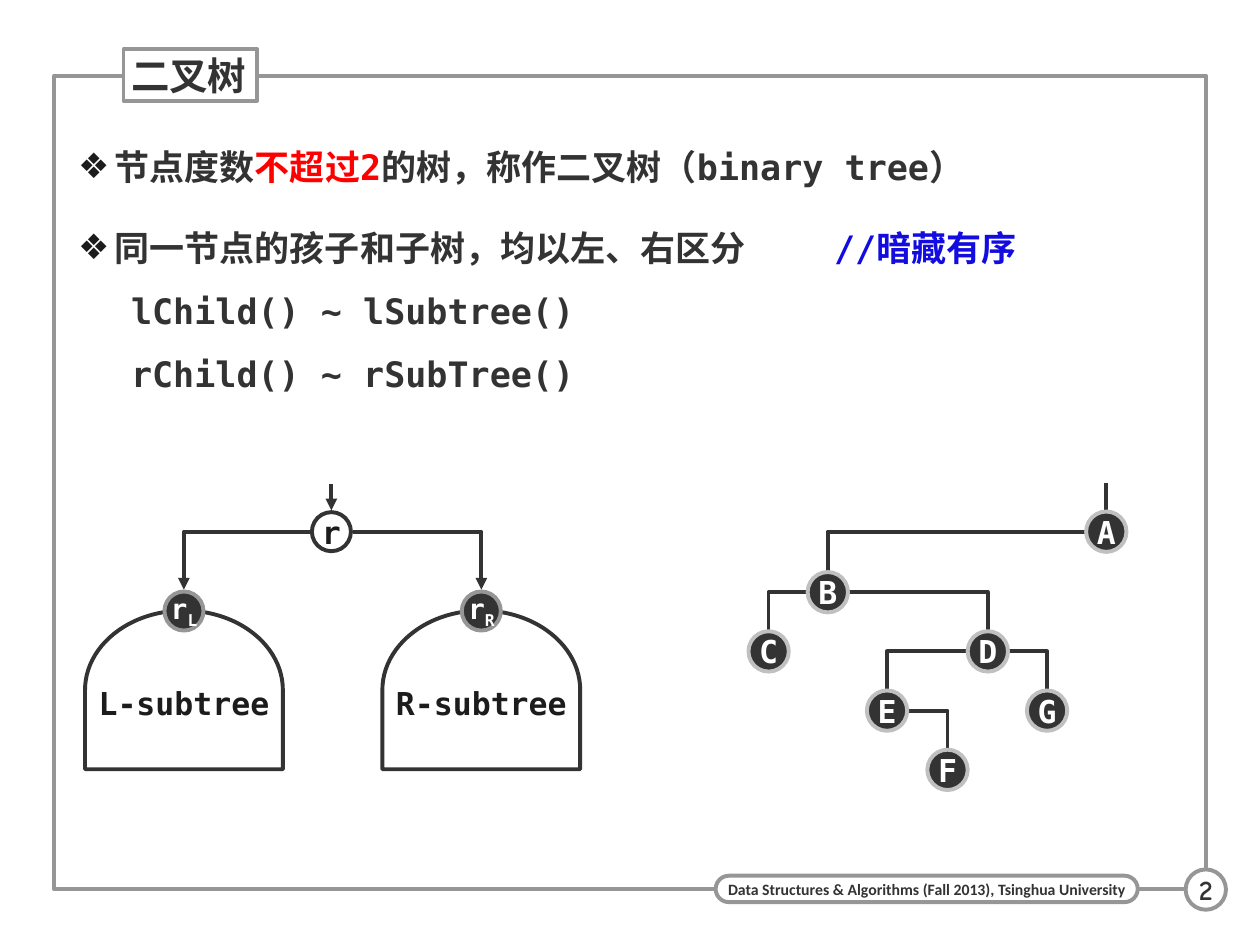
from lxml.etree import SubElement as Sub
from pptx import Presentation
from pptx.dml.color import RGBColor as Rgb
from pptx.enum.shapes import MSO_CONNECTOR as Link, MSO_SHAPE as Form
from pptx.enum.text import MSO_ANCHOR as Anchor, MSO_AUTO_SIZE as Fit, PP_ALIGN as Align
from pptx.oxml.ns import qn
from pptx.util import Inches, Pt

INK = {"dark": "333333", "black": "1C1C1C", "gray": "969696", "pale": "C0C0C0",
       "white": "FFFFFF", "red": "FF0000", "blue": "120CE0"}
MONO = "DejaVu Sans Mono"
NODES = {"A": (8.78, 4.22), "B": (6.57, 4.7), "C": (6.1, 5.17), "D": (7.84, 5.17),
         "E": (7.04, 5.64), "F": (7.52, 6.11), "G": (8.31, 5.64)}
EDGES = ["AB", "BC", "BD", "DE", "DG", "EF"]
GAP = 0.17


def tint(name):
    return Rgb.from_string(INK[name])


def text(par, words, size=18, color="dark", face=MONO, drop=False):
    run = par.add_run()
    run.text = words
    font = run.font
    font.size, font.name, font.bold = Pt(size), face, True
    font.color.rgb = tint(color)
    if drop:
        font._element.set("baseline", "-25000")


def inset(frame, left=0, top=0, right=0, base=0):
    frame.margin_left, frame.margin_top = Inches(left), Inches(top)
    frame.margin_right, frame.margin_bottom = Inches(right), Inches(base)


def center(frame):
    inset(frame)
    frame.vertical_anchor = Anchor.MIDDLE
    frame.paragraphs[0].alignment = Align.CENTER


def place(shape, left, top, wide, high):
    shape.left, shape.top = Inches(left), Inches(top)
    shape.width, shape.height = Inches(wide), Inches(high)


def paint(shape, fill, line):
    if fill:
        shape.fill.solid()
        shape.fill.fore_color.rgb = tint(fill)
    else:
        shape.fill.background()
    shape.line.color.rgb = tint(line)
    shape.line.width = Pt(2.25)


def block(slide, form, left, top, wide, high, fill="white", line="dark"):
    shape = slide.shapes.add_shape(form, *map(Inches, (left, top, wide, high)))
    shape.shadow.inherit = False
    paint(shape, fill, line)
    center(shape.text_frame)
    shape.text_frame.word_wrap = False
    return shape


def label(slide, words, left, top, wide, high, **fmt):
    box = slide.shapes.add_textbox(*map(Inches, (left, top, wide, high)))
    center(box.text_frame)
    box.text_frame.word_wrap = True
    text(box.text_frame.paragraphs[0], words, **fmt)


def node(slide, name, x, y, fill="dark", line="pale", wide=0.32, sub="", **fmt):
    shape = block(slide, Form.OVAL, x - wide / 2, y - wide / 2, wide, wide, fill, line)
    par = shape.text_frame.paragraphs[0]
    text(par, name, **fmt)
    if sub:
        text(par, sub, drop=True, **fmt)


def wire(slide, start, end, arrow=False):
    bent = start[0] != end[0]
    kind = Link.ELBOW if bent else Link.STRAIGHT
    link = slide.shapes.add_connector(kind, *map(Inches, (*start, *end)))
    link.line.color.rgb = tint("dark")
    link.line.width = Pt(2.25)
    props = link._element.spPr
    if bent:
        props.find(qn("a:prstGeom")).set("prst", "bentConnector2")
    if arrow:
        Sub(link.line._get_or_add_ln(), qn("a:tailEnd"), type="triangle")
    Sub(props, qn("a:effectLst"))


def branch(slide, root, child, arrow=False):
    side = GAP if child[0] > root[0] else -GAP
    wire(slide, (root[0] + side, root[1]), (child[0], child[1] - GAP), arrow)


def item(par, parts, mark="❖"):
    par.line_spacing = 1.5
    par.space_before = par.space_after = Pt(0)
    props = par._p.get_or_add_pPr()
    left, hang = (0.29, -0.29) if mark else (0.42, 0)
    props.set("marL", str(Inches(left)))
    props.set("indent", str(Inches(hang)))
    if mark:
        Sub(Sub(props, qn("a:buClr")), qn("a:srgbClr"), val=INK["black"])
        Sub(props, qn("a:buChar"), char=mark)
        tabs = Sub(props, qn("a:tabLst"))
        Sub(tabs, qn("a:tab"), pos=str(Inches(6)), algn="l")
    else:
        Sub(props, qn("a:buNone"))
    for words, color in parts:
        text(par, words, size=20, color=color)


def head(slide):
    title = slide.shapes.title
    place(title, 0.98, 0.39, 1.06, 0.41)
    paint(title, "white", "gray")
    frame = title.text_frame
    inset(frame, 0.06, 0.01, 0.06, 0.01)
    frame.auto_size = Fit.NONE
    frame.vertical_anchor = Anchor.MIDDLE
    frame.paragraphs[0].alignment = Align.LEFT
    text(frame.paragraphs[0], "二叉树", size=22)


def body(slide):
    shape = slide.placeholders[1]
    place(shape, 0.46, 0.91, 9.11, 5.91)
    frame = shape.text_frame
    inset(frame, 0.16, 0.08, 0, 0.08)
    frame.auto_size = Fit.NONE
    first = frame.paragraphs[0]
    item(first, [("节点度数", "dark"), ("不超过2", "red"),
                 ("的树，称作二叉树（binary tree）", "dark")])
    first.space_after = Pt(2.5)
    second = frame.add_paragraph()
    item(second, [("同一节点的孩子和子树，均以左、右区分\t", "dark"),
                  ("//暗藏有序", "blue")])
    second.space_before = Pt(7.5)
    for call in ("lChild() ~ lSubtree()", "rChild() ~ rSubTree()"):
        item(frame.add_paragraph(), [(call, "dark")], mark="")


def border(slide):
    frame = block(slide, Form.RECTANGLE, 0.43, 0.6, 9.14, 6.46, None, "gray")
    slide.shapes._spTree.insert(2, frame._element)
    pill = block(slide, Form.ROUNDED_RECTANGLE, 5.68, 6.95, 3.35, 0.21, line="gray")
    pill.adjustments[0] = 0.5
    text(pill.text_frame.paragraphs[0],
         "Data Structures & Algorithms (Fall 2013), Tsinghua University",
         size=9, face="Calibri")
    node(slide, "2", 9.57, 7.06, "white", "gray", size=16, face="Comic Neue")


def halves(slide):
    root = (2.63, 4.22)
    for side, x in (("L", 1.46), ("R", 3.82)):
        tree = block(slide, Form.FLOWCHART_DELAY, x - 0.63, 4.69, 1.26, 1.57)
        tree.rotation = 270
        label(slide, f"{side}-subtree", x - 0.78, 5.38, 1.56, 0.4, color="black")
        branch(slide, root, (x, 4.85), True)
        node(slide, "r", x, 4.85, line="gray", wide=0.31, sub=side,
             size=16, color="white")
    node(slide, "r", *root, "white", "dark", wide=0.31, color="black")
    wire(slide, (2.63, 3.84), (2.63, 4.05), True)


def sample(slide):
    for root, child in EDGES:
        branch(slide, NODES[root], NODES[child])
    wire(slide, (8.78, 3.83), (8.78, 4.05))
    for name, spot in NODES.items():
        node(slide, name, *spot, color="white")


def main():
    deck = Presentation()
    deck.slide_width, deck.slide_height = Inches(10), Inches(7.5)
    slide = deck.slides.add_slide(deck.slide_layouts[1])
    head(slide)
    body(slide)
    border(slide)
    halves(slide)
    sample(slide)
    deck.save("out.pptx")


if __name__ == "__main__":
    main()
